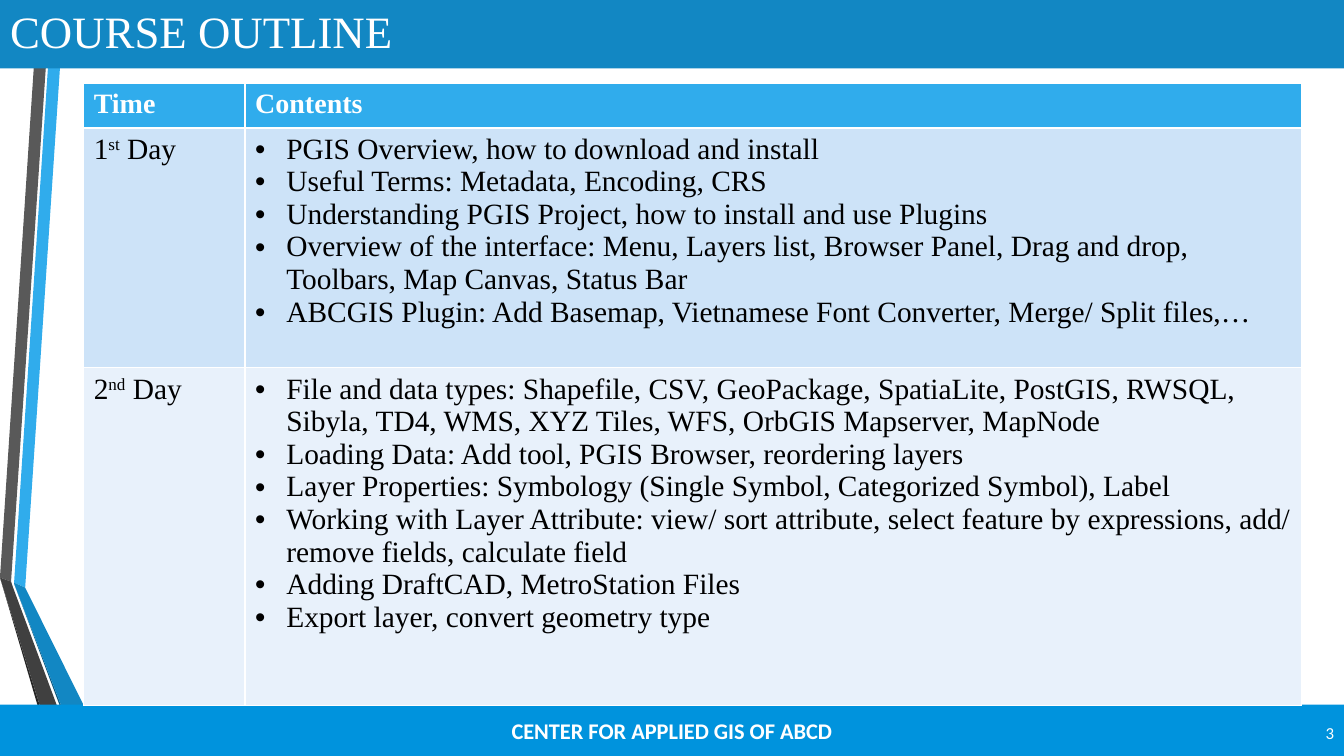
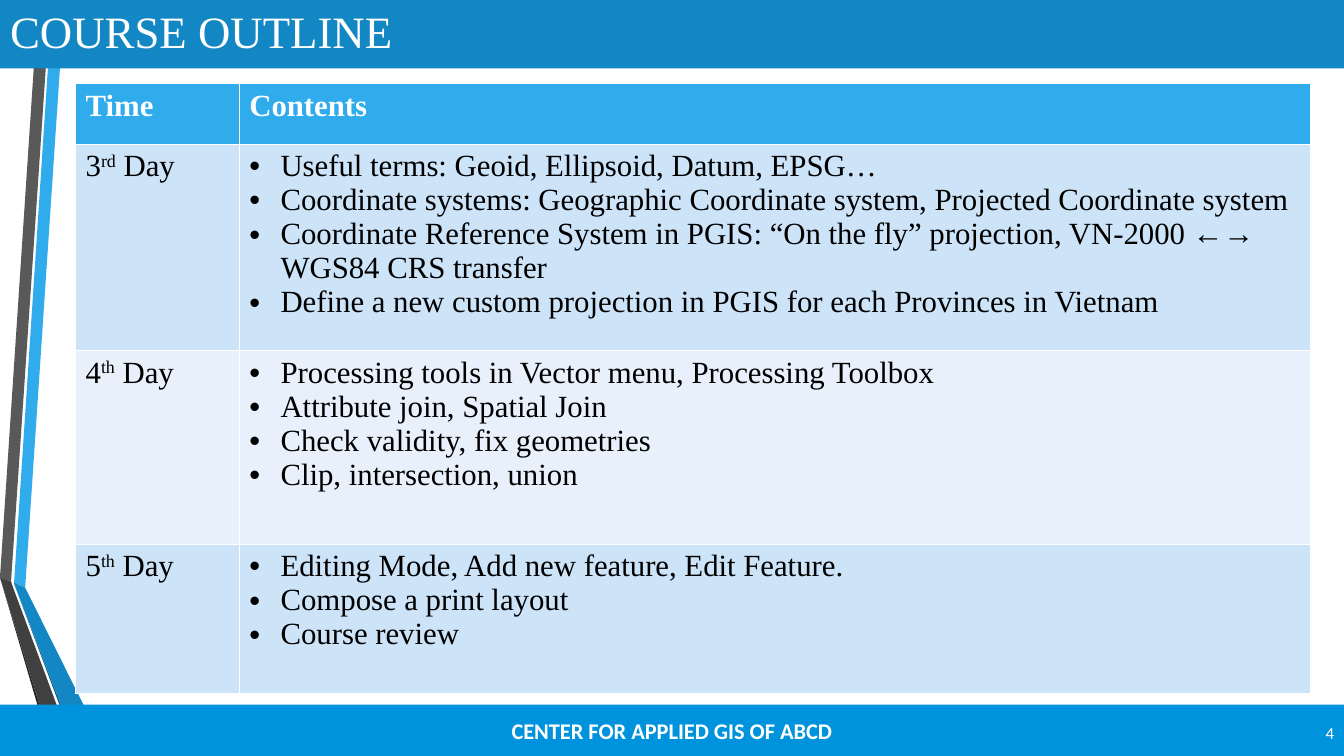
from lxml import etree
from pptx import Presentation
from pptx.dml.color import RGBColor
from pptx.enum.shapes import MSO_SHAPE
from pptx.enum.text import MSO_ANCHOR, MSO_AUTO_SIZE, PP_ALIGN
from pptx.oxml.ns import qn
from pptx.util import Inches, Pt

RECTANGLE = MSO_SHAPE.RECTANGLE
MIDDLE = MSO_ANCHOR.MIDDLE
NO_FIT = MSO_AUTO_SIZE.NONE
LEFT, CENTER, RIGHT = PP_ALIGN.LEFT, PP_ALIGN.CENTER, PP_ALIGN.RIGHT

SLIDE_W, SLIDE_H = 13.33, 7.5
HUNDREDTH = Inches(0.01)
SERIF, SANS = "Times New Roman", "Calibri"
TITLE_ONLY = 5

COLORS = {
    "white": "FFFFFF",
    "black": "000000",
    "title": "1287C3",
    "footer": "0093DD",
    "header": "30ACEC",
    "odd_row": "CDE3F8",
    "even_row": "E8F1FB",
    "gray": "595959",
    "dark_gray": "404040",
    "near_black": "262626",
    "navy": "0C5A82",
}

TITLE_BOX = (0, -0.07, SLIDE_W, 0.75)
FOOTER_BOX = (0, 6.99, SLIDE_W, 0.51)
NUMBER_BOX = (0.95 * SLIDE_W, 7.07, 0.05 * SLIDE_W, 0.4)
TIME_SHARE = 0.1325
BULLET_INDENT = 0.31

# Ribbon outlines in hundredths of an inch, from back to front
RIBBONS = [
    ("header", [(14, 578), (25, 583), (64, 0), (52, 0)]),
    ("gray", [(50, 0), (38, 0), (0, 573), (11, 577)]),
    ("near_black", [(0, 573), (52, 750), (55, 750)]),
    ("navy", [(14, 579), (78, 750), (80, 750)]),
    ("title", [(14, 579), (80, 750), (108, 750), (25, 583), (14, 578)]),
    ("dark_gray", [(75, 750), (13, 583), (11, 577), (0, 573), (55, 750)]),
]

OUTLINES = [
    {
        "number": 3,
        "box": (0.83, 0.83, 12.08),
        "rows": [0.44, 2.38, 3.35],
        "header_size": 20,
        "body_size": 21,
        "days": [
            ("1", "st", [
                "PGIS Overview, how to download and install",
                "Useful Terms: Metadata, Encoding, CRS",
                "Understanding PGIS Project, how to install and use Plugins",
                "Overview of the interface: Menu, Layers list, Browser Panel, "
                "Drag and drop, Toolbars, Map Canvas, Status Bar",
                "ABCGIS Plugin: Add Basemap, Vietnamese Font Converter, "
                "Merge/ Split files,…",
            ]),
            ("2", "nd", [
                "File and data types: Shapefile, CSV, GeoPackage, SpatiaLite, "
                "PostGIS, RWSQL, Sibyla, TD4, WMS, XYZ Tiles, WFS, "
                "OrbGIS Mapserver, MapNode",
                "Loading Data: Add tool, PGIS Browser, reordering layers",
                "Layer Properties: Symbology (Single Symbol, Categorized "
                "Symbol), Label",
                "Working with Layer Attribute: view/ sort attribute, select "
                "feature by expressions, add/ remove fields, calculate field",
                "Adding DraftCAD, MetroStation Files",
                "Export layer, convert geometry type",
            ]),
        ],
    },
    {
        "number": 4,
        "box": (0.75, 0.83, 12.25),
        "rows": [0.6, 2.05, 1.92, 1.48],
        "header_size": 22,
        "body_size": 22,
        "days": [
            ("3", "rd", [
                "Useful terms: Geoid, Ellipsoid, Datum, EPSG…",
                "Coordinate systems: Geographic Coordinate system, Projected "
                "Coordinate system",
                "Coordinate Reference System in PGIS: “On the fly” "
                "projection, VN-2000 ←→ WGS84 CRS transfer",
                "Define a new custom projection in PGIS for each Provinces "
                "in Vietnam",
            ]),
            ("4", "th", [
                "Processing tools in Vector menu, Processing Toolbox",
                "Attribute join, Spatial Join",
                "Check validity, fix geometries",
                "Clip, intersection, union",
            ]),
            ("5", "th", [
                "Editing Mode, Add new feature, Edit Feature.",
                "Compose a print layout",
                "Course review",
            ]),
        ],
    },
]


def inches(box):
    return [Inches(length) for length in box]


def paint(target, color):
    target.fill.solid()
    target.fill.fore_color.rgb = RGBColor.from_string(COLORS[color])


def write(paragraph, text, size, color="black", font=SERIF, bold=False,
          align=LEFT, raised=False):
    """Append a formatted run to the paragraph."""
    paragraph.alignment = align
    run = paragraph.add_run()
    run.text = text
    run.font.size = Pt(size)
    run.font.name = font
    run.font.bold = bold
    run.font.color.rgb = RGBColor.from_string(COLORS[color])
    if raised:
        run.font._element.set("baseline", "30000")


def add_bullet(paragraph):
    properties = paragraph._p.get_or_add_pPr()
    indent = Inches(BULLET_INDENT)
    properties.set("marL", str(indent))
    properties.set("indent", str(-indent))
    etree.SubElement(properties, qn("a:buFont")).set("typeface", "Arial")
    etree.SubElement(properties, qn("a:buChar")).set("char", "•")


def add_ribbons(shapes):
    for color, (start, *corners) in RIBBONS:
        outline = shapes.build_freeform(*start, scale=HUNDREDTH)
        outline.add_line_segments(corners, close=True)
        yield outline.convert_to_shape(), color


def add_footer(shapes, box):
    footer = shapes.add_shape(RECTANGLE, *inches(box))
    frame = footer.text_frame
    frame.word_wrap = False
    frame.vertical_anchor = MIDDLE
    write(frame.paragraphs[0], "CENTER FOR APPLIED GIS OF ABCD", 16, "white",
          SANS, bold=True, align=CENTER)
    return footer


def decorate_layout(layout, slide):
    """Draw the ribbons and footer on the slide, then move them to its layout."""
    for placeholder in list(layout.placeholders)[1:]:
        layout.shapes.element.remove(placeholder.element)
    parts = list(add_ribbons(slide.shapes))
    parts.append((add_footer(slide.shapes, FOOTER_BOX), "footer"))
    for part, color in parts:
        paint(part, color)
        part.line.fill.background()
        part.shadow.inherit = False
        layout.shapes.element.append(part.element)


def place_title(title, box):
    title.left, title.top, title.width, title.height = inches(box)
    paint(title, "title")
    frame = title.text_frame
    frame.auto_size = NO_FIT
    frame.vertical_anchor = MIDDLE
    write(frame.paragraphs[0], "COURSE OUTLINE", 32, "white")


def add_number(shapes, box, number):
    frame = shapes.add_textbox(*inches(box)).text_frame
    frame.word_wrap = True
    frame.vertical_anchor = MIDDLE
    write(frame.paragraphs[0], str(number), 12, "white", SANS, align=RIGHT)


def add_schedule(shapes, outline):
    left, top, width = outline["box"]
    heights = outline["rows"]
    table = shapes.add_table(
        len(heights), 2, *inches((left, top, width, sum(heights)))).table
    for column, share in zip(table.columns, (TIME_SHARE, 1 - TIME_SHARE)):
        column.width = Inches(width * share)
    for row, height in zip(table.rows, heights):
        row.height = Inches(height)

    for cell, heading in zip(table.rows[0].cells, ("Time", "Contents")):
        paint(cell, "header")
        write(cell.text_frame.paragraphs[0], heading, outline["header_size"],
              "white", bold=True)

    size = outline["body_size"]
    for index, (day, suffix, topics) in enumerate(outline["days"], 1):
        time, contents = table.rows[index].cells
        for cell in (time, contents):
            paint(cell, "odd_row" if index % 2 else "even_row")
        label = time.text_frame.paragraphs[0]
        write(label, day, size)
        write(label, suffix, size, raised=True)
        write(label, " Day", size)
        frame = contents.text_frame
        for position, topic in enumerate(topics):
            line = frame.add_paragraph() if position else frame.paragraphs[0]
            add_bullet(line)
            write(line, topic, size)


def main():
    prs = Presentation()
    prs.slide_width, prs.slide_height = inches((SLIDE_W, SLIDE_H))
    layout = prs.slide_layouts[TITLE_ONLY]
    slides = [prs.slides.add_slide(layout) for _ in OUTLINES]
    decorate_layout(layout, slides[0])
    for slide, outline in zip(slides, OUTLINES):
        place_title(slide.shapes.title, TITLE_BOX)
        add_number(slide.shapes, NUMBER_BOX, outline["number"])
        add_schedule(slide.shapes, outline)
    prs.save("out.pptx")


if __name__ == "__main__":
    main()
